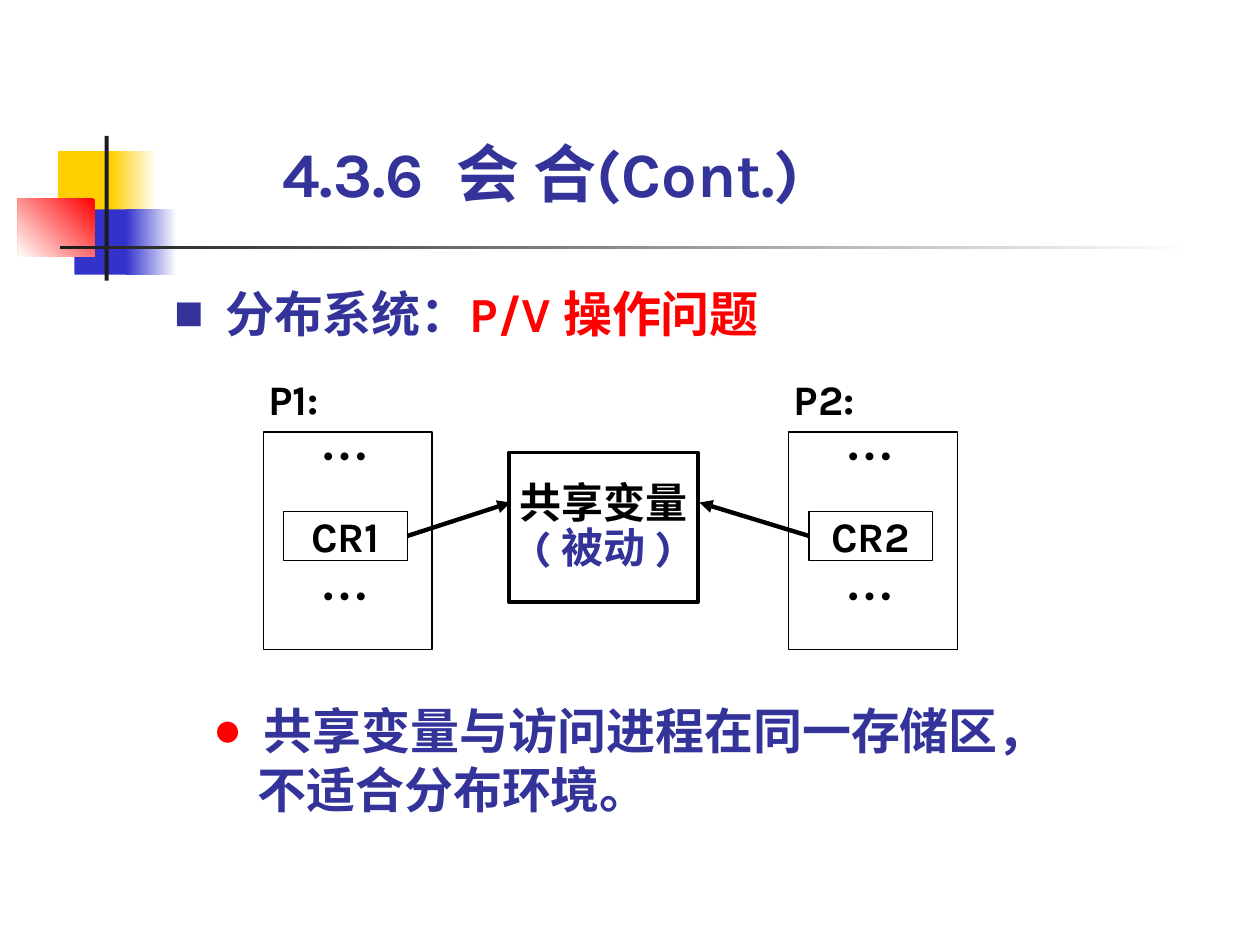
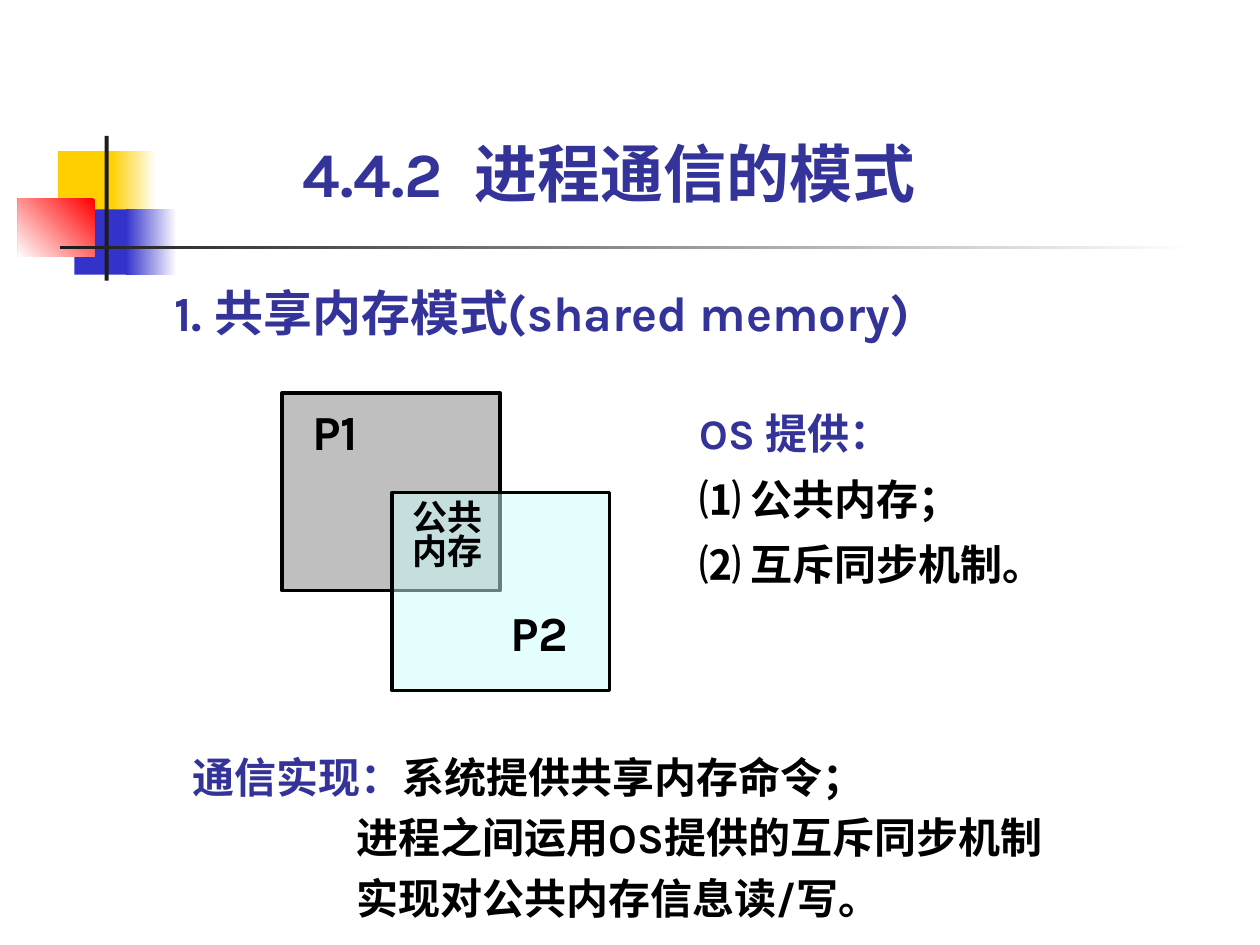
from lxml.etree import SubElement
from pptx import Presentation
from pptx.dml.color import RGBColor
from pptx.enum.shapes import MSO_CONNECTOR, MSO_SHAPE
from pptx.enum.text import MSO_ANCHOR, MSO_AUTO_SIZE, PP_ALIGN
from pptx.oxml.ns import qn
from pptx.util import Cm, Pt

BLUE, RED, BLACK, WHITE = "333399", "FF0000", "000000", "FFFFFF"
YELLOW, ROYAL, CHARCOAL = "FFCF01", "3333CC", "1C1C1C"
LATIN, CHINESE = "Karla", "Noto Sans CJK SC"


def color(value):
    return RGBColor.from_string(value)


def set_frame(frame, anchor=MSO_ANCHOR.TOP, wrap=True):
    frame.margin_left = frame.margin_top = frame.margin_right = frame.margin_bottom = 0
    frame.vertical_anchor = anchor
    frame.word_wrap = wrap
    frame.auto_size = MSO_AUTO_SIZE.NONE


def set_indent(para, left, first=0, bullet=None):
    properties = para._p.get_or_add_pPr()
    properties.set("marL", str(Cm(left)))
    properties.set("indent", str(Cm(first)))
    if bullet:
        symbol, tint = bullet
        bullet_color = SubElement(properties, qn("a:buClr"))
        SubElement(bullet_color, qn("a:srgbClr"), val=tint)
        SubElement(properties, qn("a:buFont"), typeface="Times New Roman")
        SubElement(properties, qn("a:buChar"), char=symbol)


def write(frame, lines, size, tint=BLACK, align=PP_ALIGN.LEFT, spacing=1.0, name=LATIN):
    for index, spans in enumerate(lines):
        para = frame.add_paragraph() if index else frame.paragraphs[0]
        for text, span_tint in spans:
            span = para.add_run()
            span.text = text
            if span_tint != tint:
                span.font.color.rgb = color(span_tint)
        para.alignment = align
        para.line_spacing = spacing
        para.font.size = Pt(size)
        para.font.bold = True
        para.font.name = name
        para.font.color.rgb = color(tint)
        defaults = para._p.pPr.find(qn("a:defRPr"))
        SubElement(defaults, qn("a:ea"), typeface=CHINESE)


def add_text(page, place, lines, size, tint=BLACK, indents=(), **style):
    box = page.shapes.add_textbox(*map(Cm, place))
    frame = box.text_frame
    set_frame(frame)
    for index in range(len(indents)):
        para = frame.add_paragraph() if index else frame.paragraphs[0]
        set_indent(para, *indents[index])
    if indents:
        for para, spans in zip(frame.paragraphs, lines):
            write(ParagraphSlot(para), [spans], size, tint, **style)
    else:
        write(frame, lines, size, tint, **style)


class ParagraphSlot:
    def __init__(self, para):
        self.paragraphs = [para]


def add_box(page, place, fill=None, line=None, alpha=None):
    box = page.shapes.add_shape(MSO_SHAPE.RECTANGLE, *map(Cm, place))
    box.shadow.inherit = False
    if fill:
        box.fill.solid()
        box.fill.fore_color.rgb = color(fill)
    else:
        box.fill.background()
    if alpha:
        solid = box.fill._xPr.find(qn("a:solidFill"))
        SubElement(solid[0], qn("a:alpha"), val=str(alpha * 1000))
    if line:
        box.line.color.rgb = color(BLACK)
        box.line.width = Pt(line)
    else:
        box.line.fill.background()
    return box


def add_label_box(page, place, line, lines, wrap=True, spacing=1.0):
    box = add_box(page, place, line=line)
    set_frame(box.text_frame, MSO_ANCHOR.MIDDLE, wrap)
    write(box.text_frame, lines, 24, align=PP_ALIGN.CENTER, spacing=spacing)
    return box


def add_gradient_box(page, place, start, end, angle=180):
    box = add_box(page, place)
    box.fill.gradient()
    box.fill.gradient_angle = angle
    for stop, tint in zip(box.fill.gradient_stops, (start, end)):
        stop.color.rgb = color(tint)
    return box


def add_arrow(page, source, side, end):
    arrow = page.shapes.add_connector(MSO_CONNECTOR.STRAIGHT, 0, 0, *map(Cm, end))
    arrow.begin_connect(source, side)
    arrow.line.color.rgb = color(BLACK)
    arrow.line.width = Pt(2.5)
    SubElement(arrow.line._get_or_add_ln(), qn("a:tailEnd"), type="triangle")
    SubElement(arrow._element.spPr, qn("a:effectLst"))


def add_page(deck, title, left, width):
    page = deck.slides.add_slide(deck.slide_layouts[5])
    heading = page.shapes.title
    heading.left, heading.top, heading.width, heading.height = map(
        Cm, (left, 2.72, width, 1.52))
    set_frame(heading.text_frame, MSO_ANCHOR.BOTTOM)
    write(heading.text_frame, [[(title, BLUE)]], 36, BLUE)
    return page


def decorate_layout(page):
    ornaments = [
        add_box(page, (1.17, 3.05, 1.22, 1.32), YELLOW),
        add_gradient_box(page, (2.24, 3.05, 0.91, 1.32), WHITE, YELLOW),
        add_box(page, (1.5, 4.22, 1.17, 1.32), ROYAL),
        add_gradient_box(page, (2.54, 4.22, 1.02, 1.32), WHITE, ROYAL),
        add_gradient_box(page, (0.36, 4.01, 1.55, 1.17), RED, WHITE, 225),
        add_box(page, (2.11, 2.74, 0.08, 2.92), CHARCOAL),
        add_gradient_box(page, (1.22, 4.95, 22.86, 0.08), WHITE, CHARCOAL),
    ]
    for ornament in ornaments:
        page.slide_layout.shapes.element.append(ornament._element)


def add_process(page, left, name, section):
    add_box(page, (left, 8.71, 3.4, 4.39), line=0.75)
    add_text(page, (left + 0.1, 7.52, 1.6, 1.02), [[(name, BLACK)]], 24)
    for top in (9.12, 11.94):
        add_text(page, (left + 0.79, top, 1.7, 0.58), [[("…", BLACK)]], 28,
                 align=PP_ALIGN.CENTER, spacing=0.5, name=CHINESE)
    return add_label_box(page, (left + 0.41, 10.31, 2.49, 0.99), 0.75,
                         [[(section, BLACK)]], wrap=False)


def build_rendezvous(deck):
    page = add_page(deck, "4.3.6  会 合(Cont.)", 5.69, 11.91)
    decorate_layout(page)
    add_text(page, (3.51, 5.72, 13.21, 1.19),
             [[("分布系统：", BLUE), ("P/V 操作问题", RED)]], 28, BLUE,
             indents=[(1.03, -1.03, ("■", BLUE))])
    add_label_box(page, (10.26, 9.12, 3.81, 3.02), 2,
                  [[("共享变量", BLACK)], [("( 被动 )", BLUE)]], spacing=0.9)
    first = add_process(page, 5.31, "P1:", "CR1")
    second = add_process(page, 15.9, "P2:", "CR2")
    add_arrow(page, first, 3, (10.29, 10.13))
    add_arrow(page, second, 1, (14.1, 10.13))
    add_text(page, (4.29, 14.12, 17.6, 2.36),
             [[("共享变量与访问进程在同一存储区，", BLUE)], [("不适合分布环境。", BLUE)]],
             28, BLUE, indents=[(1.03, -1.03, ("●", RED)), (0.9,)])


def build_shared_memory(deck):
    page = add_page(deck, "4.4.2  进程通信的模式", 6.1, 13.21)
    add_text(page, (3.51, 5.69, 16.21, 1.19),
             [[("1. 共享内存模式(shared memory)", BLUE)]], 28, BLUE)
    add_text(page, (14.1, 7.92, 7.21, 3.96),
             [[("OS 提供：", BLUE)], [("⑴ 公共内存；", BLACK)], [("⑵ 互斥同步机制。", BLACK)]],
             24, spacing=1.3)
    for left, top, fill in ((5.69, 7.92, "808080"), (7.9, 9.93, "CCFFFF")):
        add_box(page, (left, top, 4.39, 3.99), fill, 2, alpha=50)
    for left, top, name in ((6.3, 8.33, "P1"), (10.29, 12.37, "P2")):
        add_text(page, (left, top, 1.4, 0.94), [[(name, BLACK)]], 28, spacing=0.8)
    add_text(page, (8.31, 10.16, 1.6, 1.35), [[("公共内存", BLACK)]], 20, spacing=0.8)
    add_text(page, (3.89, 14.94, 18.59, 3.66),
             [[("通信实现：", BLUE), ("系统提供共享内存命令；", BLACK)],
              [("进程之间运用OS提供的互斥同步机制", BLACK)],
              [("实现对公共内存信息读/写。", BLACK)]],
             24, spacing=1.2, indents=[(0,), (3.3,), (3.3,)])


def main():
    deck = Presentation()
    deck.slide_width, deck.slide_height = Cm(25.4), Cm(19.05)
    build_rendezvous(deck)
    build_shared_memory(deck)
    deck.save("out.pptx")


if __name__ == "__main__":
    main()
